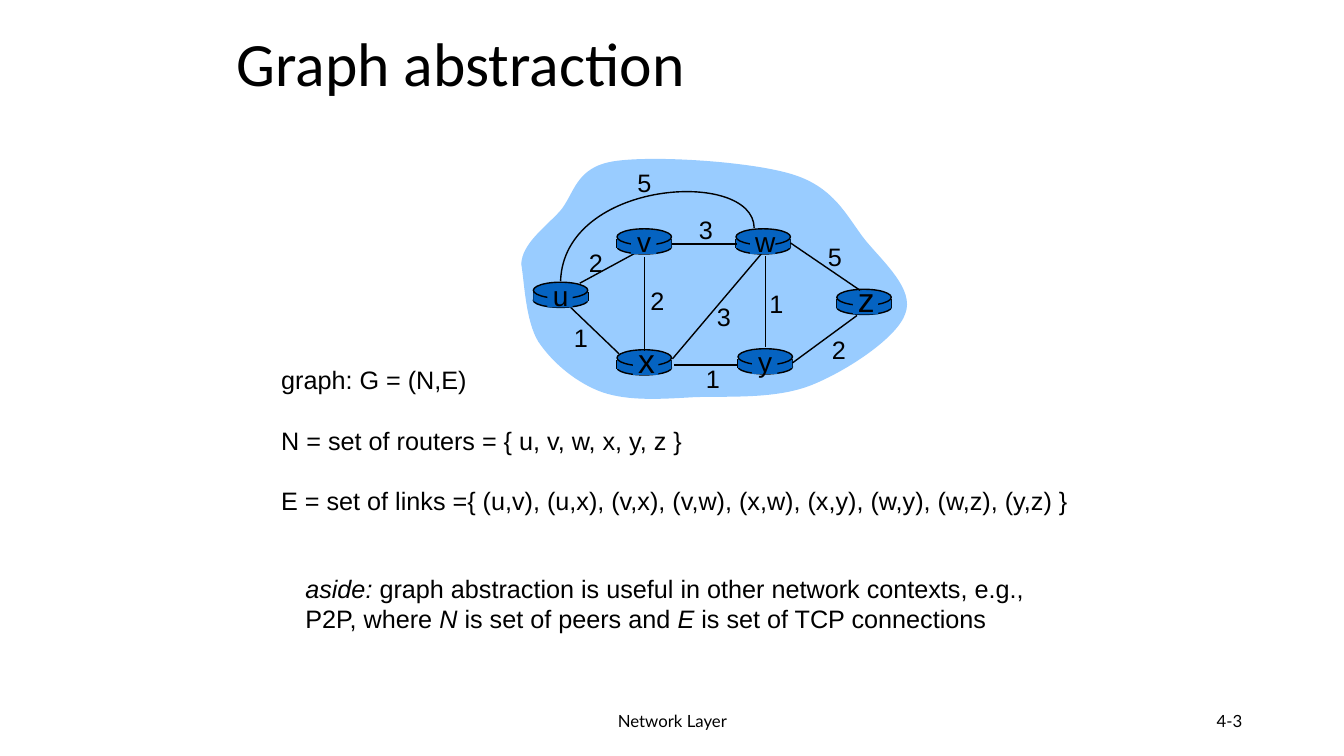
"""Build the slide that presents a router network as a graph with link costs."""
from dataclasses import dataclass
from itertools import chain

from lxml.etree import SubElement
from pptx import Presentation
from pptx.dml.color import RGBColor
from pptx.enum.shapes import MSO_CONNECTOR as Connector, MSO_SHAPE as Preset
from pptx.enum.text import MSO_ANCHOR as Anchor, PP_ALIGN as Align
from pptx.oxml.ns import qn
from pptx.util import Inches, Pt

BLACK, ROUTER_BLUE, CLOUD_BLUE = "000000", "0563C1", "99CCFF"
ROUTER_WIDTH = 0.54

Point = tuple[float, float]
Curve = tuple[Point, Point, Point]
Run = tuple[str, bool]


@dataclass(frozen=True)
class Router:
    name: str
    left: float
    top: float
    size: int = 20


@dataclass(frozen=True)
class Link:
    start: Point
    end: Point
    cost: str
    cost_at: Point


@dataclass(frozen=True)
class TextBlock:
    box: tuple[float, float, float, float]
    lines: list[list[Run]]
    size: int = 18
    font: str = "Arial"
    align: Align = Align.LEFT
    anchor: Anchor = Anchor.TOP
    wrap: bool = False
    space_after: float = 0
    line_spacing: float = 1.0


ROUTERS = [
    Router("u", 5.29, 2.80),
    Router("x", 6.12, 3.47, 24),
    Router("v", 6.12, 2.27),
    Router("w", 7.30, 2.27),
    Router("y", 7.32, 3.46),
    Router("z", 8.30, 2.87, 24),
]

UV_LINK = Link((5.75, 2.81), (6.34, 2.49), "2", (5.74, 2.40))
FRONT_LINKS = [
    Link((7.59, 2.54), (7.59, 3.44), "1", (7.53, 2.81)),
    Link((6.39, 2.55), (6.39, 3.48), "2", (6.35, 2.78)),
    Link((6.67, 3.56), (7.55, 2.52), "3", (7.01, 2.94)),
    Link((7.86, 3.60), (8.50, 3.13), "2", (8.15, 3.27)),
    Link((7.32, 3.62), (6.68, 3.62), "1", (6.90, 3.56)),
    Link((6.14, 3.51), (5.66, 3.05), "1", (5.59, 3.15)),
    Link((7.31, 2.42), (6.67, 2.42), "3", (6.83, 2.08)),
    Link((8.53, 2.88), (7.84, 2.41), "5", (8.11, 2.34)),
]
UW_START = (7.48, 2.26)
UW_CURVES = [((7.47, 1.67), (5.59, 1.78), (5.56, 2.79))]
UW_COST_AT = (6.22, 1.61)

CLOUD_START = (5.17, 2.62)
CLOUD_CURVES = [
    ((5.18, 2.42), (5.39, 2.27), (5.55, 2.10)),
    ((5.70, 1.93), (5.70, 1.66), (6.09, 1.60)),
    ((6.47, 1.54), (7.44, 1.60), (7.86, 1.73)),
    ((8.28, 1.86), (8.40, 2.15), (8.58, 2.38)),
    ((8.77, 2.61), (9.07, 2.87), (8.98, 3.11)),
    ((8.90, 3.35), (8.40, 3.68), (8.05, 3.82)),
    ((7.70, 3.96), (7.24, 3.93), (6.89, 3.94)),
    ((6.55, 3.96), (6.23, 3.98), (5.97, 3.89)),
    ((5.72, 3.80), (5.48, 3.60), (5.34, 3.39)),
    ((5.21, 3.18), (5.20, 2.78), CLOUD_START),
]

TEXT_BLOCKS = [
    TextBlock((4.42, 6.95, 4.5, 0.4), [[("Network Layer", False)]], 12, "Lato",
              Align.CENTER, Anchor.MIDDLE, True),
    TextBlock((9.42, 6.95, 3, 0.4), [[("4-3", False)]], 12, "Lato",
              Align.RIGHT, Anchor.MIDDLE, True),
    TextBlock((2.69, 3.57, 8.09, 1.6), [
        [("graph: G = (N,E)", False)],
        [("N = set of routers = { u, v, w, x, y, z }", False)],
        [("E = set of links ={ (u,v), (u,x), (v,x), (v,w), (x,w), (x,y), "
          "(w,y), (w,z), (y,z) }", False)],
    ], space_after=21.3),
    TextBlock((2.25, 0.23, 8.5, 0.87), [[("Graph abstraction", False)]], 44,
              "Calibri", anchor=Anchor.MIDDLE, wrap=True, line_spacing=0.9),
    TextBlock((2.93, 5.64, 7.4, 0.7), [
        [("aside:", True),
         (" graph abstraction is useful in other network contexts, e.g.,", False)],
        [("P2P, where ", False), ("N", True), (" is set of peers and ", False),
         ("E", True), (" is set of TCP connections", False)],
    ]),
]


def color(value: str) -> RGBColor:
    """Turn a hex string into a colour."""
    return RGBColor.from_string(value)


def apply_format(target, values: dict) -> None:
    """Set every attribute named in the format values."""
    for name, value in values.items():
        setattr(target, name, value)


def style_shape(shape, fill: str | None, outlined: bool) -> None:
    """Give a shape its fill and outline without a shadow."""
    shape.shadow.inherit = False
    if fill:
        shape.fill.solid()
        shape.fill.fore_color.rgb = color(fill)
    else:
        shape.fill.background()
    if outlined:
        shape.line.color.rgb = color(BLACK)
        shape.line.width = Pt(1)
    else:
        shape.line.fill.background()


def add_text(slide, block: TextBlock) -> None:
    """Add a text box with one paragraph per line."""
    frame = slide.shapes.add_textbox(*map(Inches, block.box)).text_frame
    apply_format(frame, {"word_wrap": block.wrap, "vertical_anchor": block.anchor})
    for index, line in enumerate(block.lines):
        paragraph = frame.add_paragraph() if index else frame.paragraphs[0]
        apply_format(paragraph, {
            "alignment": block.align,
            "line_spacing": block.line_spacing,
            "space_after": Pt(block.space_after),
        })
        for text, italic in line:
            run = paragraph.add_run()
            run.text = text
            apply_format(run.font, {
                "name": block.font, "size": Pt(block.size), "italic": italic})
            run.font.color.rgb = color(BLACK)


def add_line(slide, start: Point, end: Point) -> None:
    """Add a thin black line between two points."""
    line = slide.shapes.add_connector(
        Connector.STRAIGHT, *map(Inches, (*start, *end)))
    line.line.color.rgb = color(BLACK)
    line.line.width = Pt(1)
    SubElement(line._element.spPr, qn("a:effectLst"))


def add_curve(slide, start: Point, curves: list[Curve], fill: str | None) -> None:
    """Add an outline of cubic curves, closed when it is filled."""
    builder = slide.shapes.build_freeform(*map(Inches, start))
    builder.add_line_segments(
        [(Inches(x), Inches(y)) for x, y in chain.from_iterable(curves)],
        close=bool(fill))
    shape = builder.convert_to_shape()
    segments = list(shape._element.iter(qn("a:lnTo")))
    for curve, *others in zip(segments[::3], segments[1::3], segments[2::3]):
        curve.tag = qn("a:cubicBezTo")
        for segment in others:
            curve.append(segment[0])
            segment.getparent().remove(segment)
    style_shape(shape, fill, outlined=not fill)


def add_blue(slide, preset: Preset, box: tuple, outlined: bool) -> None:
    """Add one blue part of a router."""
    style_shape(slide.shapes.add_shape(preset, *map(Inches, box)),
                ROUTER_BLUE, outlined)


def add_router(slide, router: Router) -> None:
    """Draw a router as a flat cylinder."""
    left, top = router.left, router.top
    add_blue(slide, Preset.OVAL, (left, top + 0.11, ROUTER_WIDTH, 0.14), True)
    for side in (left, left + ROUTER_WIDTH):
        add_line(slide, (side, top + 0.1), (side, top + 0.19))
    add_blue(slide, Preset.RECTANGLE, (left, top + 0.1, ROUTER_WIDTH, 0.09), False)
    add_blue(slide, Preset.OVAL, (left, top, ROUTER_WIDTH, 0.16), True)


def add_router_name(slide, router: Router) -> None:
    """Put the router's letter on a plain patch over its lid."""
    shift, rise, height = (0.02, 0.15, 0.5) if router.size == 24 else (0, 0.09, 0.43)
    left = router.left + shift
    add_blue(slide, Preset.RECTANGLE,
             (left + 0.14, router.top + 0.02, 0.25, 0.23), False)
    add_text(slide, TextBlock((left + 0.09, router.top - rise, 0.36, height),
                              [[(router.name, False)]], router.size,
                              align=Align.CENTER))


def add_cost(slide, cost: str, position: Point) -> None:
    """Write the cost of a link."""
    add_text(slide, TextBlock((*position, 0.34, 0.4), [[(cost, False)]],
                              align=Align.CENTER))


def main() -> None:
    """Draw the graph and its explanation."""
    presentation = Presentation()
    apply_format(presentation, {
        "slide_width": Inches(13.33), "slide_height": Inches(7.5)})
    slide = presentation.slides.add_slide(presentation.slide_layouts[6])
    add_curve(slide, CLOUD_START, CLOUD_CURVES, CLOUD_BLUE)
    add_line(slide, UV_LINK.start, UV_LINK.end)
    for router in ROUTERS:
        add_router(slide, router)
    for link in FRONT_LINKS:
        add_line(slide, link.start, link.end)
    add_curve(slide, UW_START, UW_CURVES, None)
    for router in ROUTERS:
        add_router_name(slide, router)
    for link in [UV_LINK, *FRONT_LINKS]:
        add_cost(slide, link.cost, link.cost_at)
    add_cost(slide, "5", UW_COST_AT)
    for block in TEXT_BLOCKS:
        add_text(slide, block)
    presentation.save("out.pptx")


if __name__ == "__main__":
    main()
